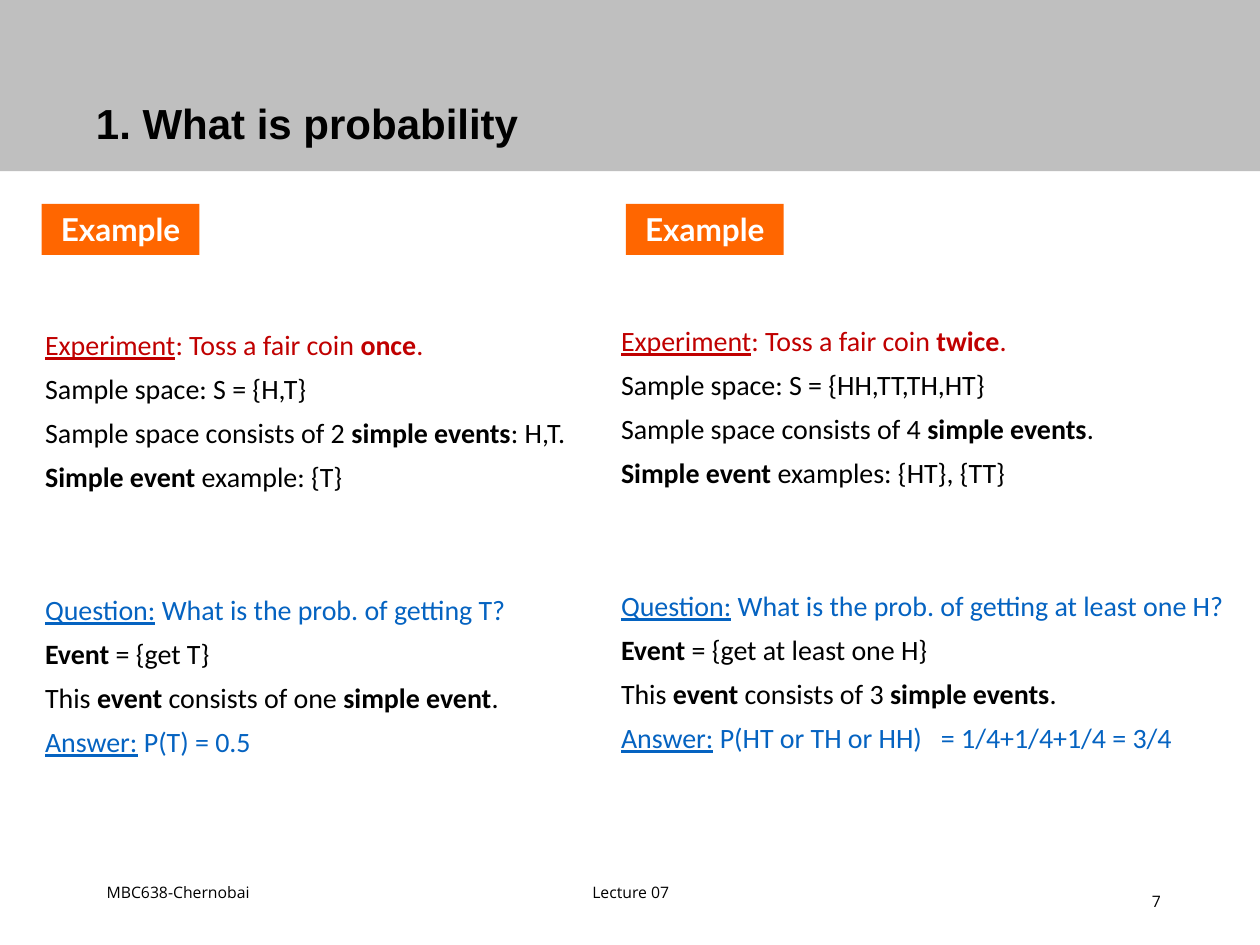
from dataclasses import dataclass
from itertools import cycle

from lxml import etree
from pptx import Presentation
from pptx.dml.color import RGBColor
from pptx.enum.shapes import MSO_SHAPE
from pptx.enum.text import MSO_ANCHOR, PP_ALIGN
from pptx.oxml.ns import qn
from pptx.util import Cm, Pt


@dataclass(frozen=True)
class Theme:
    black: str = "000000"
    white: str = "FFFFFF"
    band: str = "BFBFBF"
    tag: str = "FF6600"
    experiment: str = "C00000"
    question: str = "0563C1"
    title_size: float = 24
    tag_size: float = 18
    body_size: float = 16
    footer_size: float = 9
    title_font: str = "Arial"
    tag_font: str = "Lato"
    body_font: str = "Calibri"
    footer_font: str = "Open Sans"
    line_gap: float = 6
    block_gap: float = 56.5


THEME = Theme()


def add_run(paragraph, text, font, size, color, bold=False, underline=False):
    run = paragraph.add_run()
    run.text = text
    run.font.name = font
    run.font.size = Pt(size)
    run.font.color.rgb = RGBColor.from_string(color)
    run.font.bold = bold
    run.font.underline = underline


def add_rect(slide, box, fill):
    rect = slide.shapes.add_shape(MSO_SHAPE.RECTANGLE, *map(Cm, box))
    rect.shadow.inherit = False
    rect.fill.solid()
    rect.fill.fore_color.rgb = RGBColor.from_string(fill)
    rect.line.fill.background()
    return rect


def add_header(slide, box, text):
    left, top, width, height = box
    band = add_rect(slide, box, THEME.band)
    slide.shapes.element.insert(2, band.element)
    title = slide.shapes.title
    title.left, title.top = Cm(left + 1.68), Cm(top + 0.69)
    title.width, title.height = Cm(width - 3.5), Cm(3.68)
    title.text_frame.vertical_anchor = MSO_ANCHOR.MIDDLE
    paragraph = title.text_frame.paragraphs[0]
    paragraph.alignment = PP_ALIGN.LEFT
    paragraph.line_spacing = 0.9
    add_run(paragraph, text, THEME.title_font, THEME.title_size, THEME.black, bold=True)


def add_tag(slide, box, text):
    frame = add_rect(slide, box, THEME.tag).text_frame
    frame.vertical_anchor = MSO_ANCHOR.MIDDLE
    frame.paragraphs[0].alignment = PP_ALIGN.CENTER
    add_run(frame.paragraphs[0], text, THEME.tag_font, THEME.tag_size, THEME.white, bold=True)


def add_tab_stop(paragraph, position):
    tabs = etree.SubElement(paragraph._p.get_or_add_pPr(), qn("a:tabLst"))
    etree.SubElement(tabs, qn("a:tab"), pos=str(Cm(position)), algn="l")


def add_line(paragraph, label, text, color):
    style = (THEME.body_font, THEME.body_size, color)
    if label:
        add_run(paragraph, label, *style, underline=True)
    for part, bold in zip(text.split("*"), cycle((False, True))):
        if part:
            add_run(paragraph, part, *style, bold=bold)
    if "\t" in text:
        add_tab_stop(paragraph, 6.45)


def add_example(slide, box, blocks):
    frame = slide.shapes.add_textbox(*map(Cm, box)).text_frame
    frame.word_wrap = True
    paragraph = frame.paragraphs[0]
    for block_index, block in enumerate(blocks):
        for line_index, line in enumerate(block):
            if block_index or line_index:
                paragraph = frame.add_paragraph()
            starts_block = block_index and not line_index
            paragraph.space_before = Pt(THEME.block_gap if starts_block else THEME.line_gap)
            add_line(paragraph, *line)


def add_footer(slide, box, text, alignment):
    frame = slide.shapes.add_textbox(*map(Cm, box)).text_frame
    frame.word_wrap = True
    frame.vertical_anchor = MSO_ANCHOR.MIDDLE
    frame.paragraphs[0].alignment = alignment
    add_run(frame.paragraphs[0], text, THEME.footer_font, THEME.footer_size, THEME.black)


def example_blocks(tosses, space, events, simple, question, event, count, answer):
    return (
        (
            ("Experiment", f": Toss a fair coin *{tosses}*.", THEME.experiment),
            ("", f"Sample space: S = {space}", THEME.black),
            ("", f"Sample space consists of {events}.", THEME.black),
            ("", f"*Simple event* {simple}", THEME.black),
        ),
        (
            ("Question:", f" What is the prob. of getting {question}?", THEME.question),
            ("", f"*Event* = {{get {event}}}", THEME.black),
            ("", f"This *event* consists of {count}.", THEME.black),
            ("Answer:", f" {answer}", THEME.question),
        ),
    )


ONCE = example_blocks(
    "once", "{H,T}", "2 *simple events*: H,T", "example: {T}",
    "T", "T", "one *simple event*", "P(T) = 0.5",
)
TWICE = example_blocks(
    "twice", "{HH,TT,TH,HT}", "4 *simple events*", "examples: {HT}, {TT}",
    "at least one H", "at least one H", "3 *simple events*",
    "P(HT or TH or HH)\t= 1/4+1/4+1/4 = 3/4",
)

EXAMPLES = (
    (0.84, (0.66, 6.48, 11.86, 9.02), ONCE),
    (12.62, (12.27, 6.4, 12.9, 9.02), TWICE),
)
FOOTERS = (
    ((1.9, 17.35, 5.28, 1.27), "MBC638-Chernobai", PP_ALIGN.LEFT),
    ((8.69, 17.35, 8.05, 1.27), "Lecture 07", PP_ALIGN.CENTER),
    ((17.93, 17.65, 5.72, 1.02), "7", PP_ALIGN.RIGHT),
)


def main():
    deck = Presentation()
    deck.slide_width, deck.slide_height = Cm(25.4), Cm(19.05)
    slide = deck.slides.add_slide(deck.slide_layouts[5])
    add_header(slide, (0, 0, 25.4, 3.45), "1. What is probability")
    for tag_left, box, blocks in EXAMPLES:
        add_tag(slide, (tag_left, 4.11, 3.18, 1.03), "Example")
        add_example(slide, box, blocks)
    for footer in FOOTERS:
        add_footer(slide, *footer)
    deck.save("out.pptx")


main()
